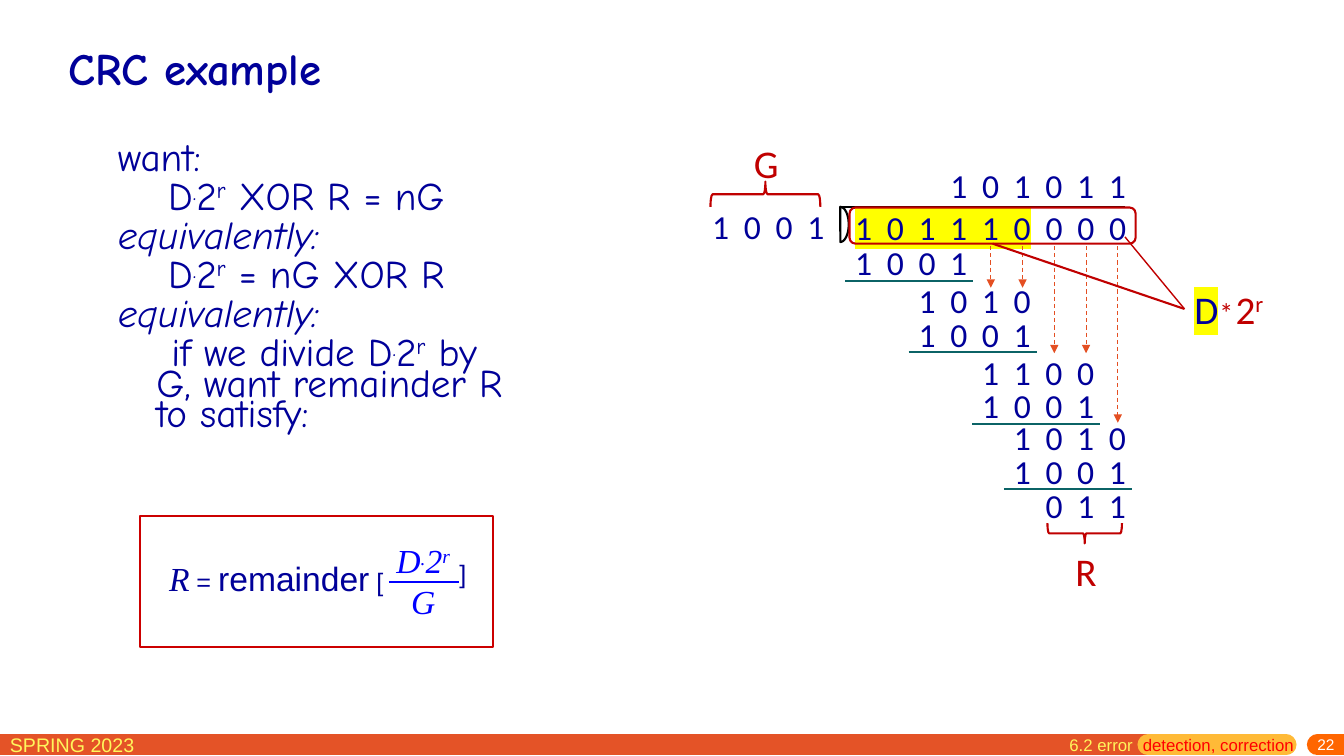
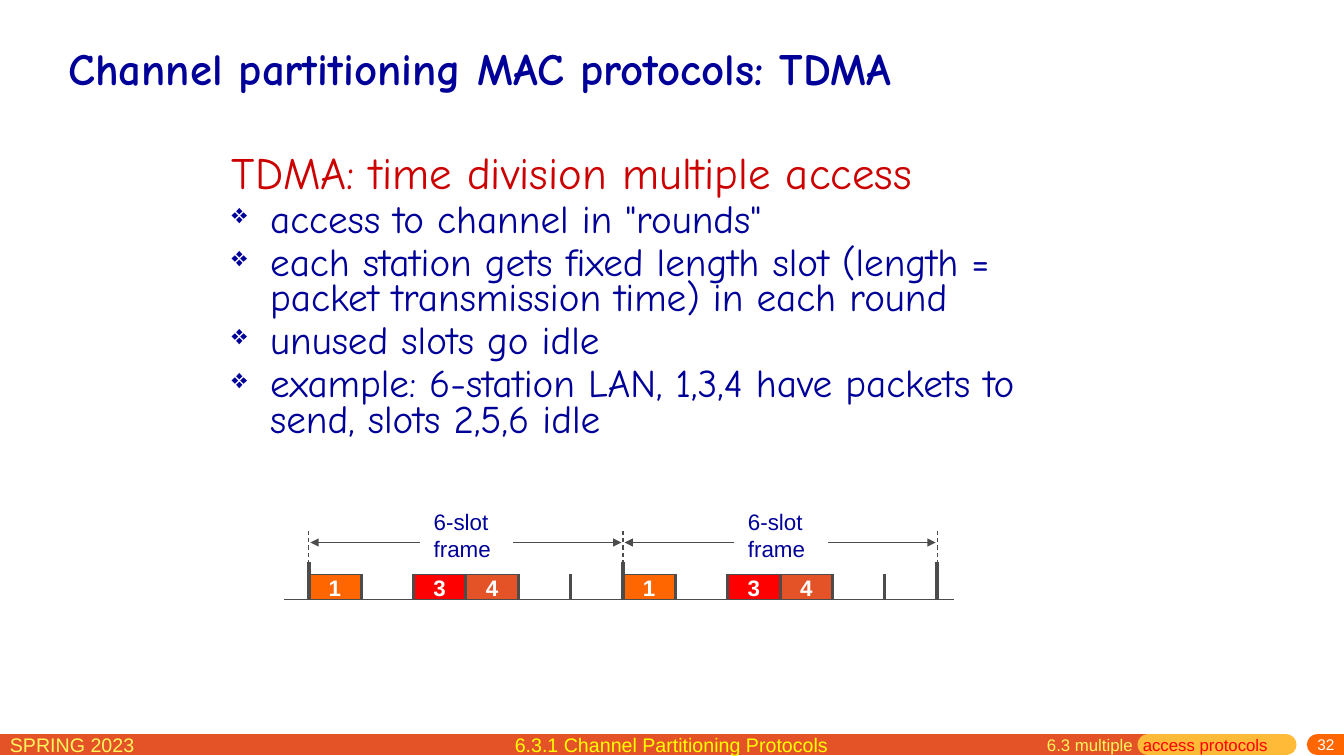
"""Build two networking lecture slides: a CRC division and a TDMA timeline."""
from lxml import etree
from pptx import Presentation
from pptx.dml.color import RGBColor
from pptx.enum.dml import MSO_LINE
from pptx.enum.shapes import MSO_CONNECTOR, MSO_SHAPE
from pptx.enum.text import MSO_ANCHOR, PP_ALIGN
from pptx.oxml.ns import qn
from pptx.util import Cm, Pt

STRAIGHT = MSO_CONNECTOR.STRAIGHT
RECTANGLE, ROUNDED = MSO_SHAPE.RECTANGLE, MSO_SHAPE.ROUNDED_RECTANGLE
BRACE, PIE = MSO_SHAPE.RIGHT_BRACE, MSO_SHAPE.PIE
DASH = MSO_LINE.DASH
LEFT, CENTER, RIGHT = PP_ALIGN.LEFT, PP_ALIGN.CENTER, PP_ALIGN.RIGHT
TOP, MIDDLE = MSO_ANCHOR.TOP, MSO_ANCHOR.MIDDLE


class Theme:
    """Colours, fonts and type sizes of the deck."""
    navy, blue, white, black = "000099", "0000FF", "FFFFFF", "000000"
    red, scarlet, crimson = "CC0000", "FF0000", "C00000"
    band, amber, orange, arrow = "E45327", "FFBA37", "FF6600", "E44F22"
    pale, yellow, teal, gray = "FFF65C", "FFFF00", "0B6366", "4C4C4C"
    hand, sans, digits, serif = "Comic Neue", "Arial", "Calibri", "Times New Roman"
    title, body, formula, symbol, label = 32, 28, 24, 28, 16
    footer, section, number = 14, 12, 11


SEASON = "SPRING 2023"
BANDS = [(-0.46, 28.93, Theme.band), (28.93, 32.41, Theme.amber),
         (33.2, 34.54, Theme.orange)]

UP = {"raised": 30}
DOT = (".", {"raised": 26})
POWER = ["D", DOT, "2", ("r", UP)]
SLANTED = [("equivalently:", {"italic": True})]
CRC_STEPS = [
    (["want:"], 0, 0),
    (POWER + [" XOR R = nG"], 1.27, 0),
    (SLANTED, 0, 0),
    (POWER + [" = nG XOR R"], 1.27, 0),
    (SLANTED, 0, 0),
    (["if we divide D", DOT, "2", ("r", UP), " by G, want remainder R to satisfy:"],
     0.97, 0.38),
]
REMAINDER = [("R", {"italic": True, "font": Theme.serif, "size": 24}),
             " = ", ("remainder", {"size": 24}), " ["]

DIVISION_LEFT, COLUMN, DIGIT_CENTER = 21.3, 0.8, 0.47
DIGIT_GAP = {"spread": 2.55}
DIVIDEND = [("1 0 1 1 1 0", {"highlight": Theme.yellow, **DIGIT_GAP}),
            (" 0 0 0", DIGIT_GAP)]
DIVISION_ROWS = [
    (3, 4.02, "1 0 1 0 1 1", False),
    (-4.5, 5.06, "1 0 0 1", False),
    (0, 5.97, "1 0 0 1", True),
    (2, 6.93, "1 0 1 0", False),
    (2, 7.78, "1 0 0 1", True),
    (4, 8.74, "1 1 0 0", False),
    (4, 9.58, "1 0 0 1", True),
    (5, 10.39, "1 0 1 0", False),
    (5, 11.23, "1 0 0 1", True),
    (6, 12.09, "0 1 1", False),
]
BROUGHT_DOWN = [(4, 7.25), (5, 7.25), (6, 8.9), (7, 8.9), (8, 10.65)]

TDMA_HEADING = "TDMA: time division multiple access"
TDMA_POINTS = [
    'access to channel in "rounds"',
    "each station gets fixed length slot (length = packet transmission time) "
    "in each round",
    "unused slots go idle",
    "example: 6-station LAN, 1,3,4 have packets to send, slots 2,5,6 idle",
]
BUSY_SLOTS = [(1, Theme.orange), (3, Theme.scarlet), (4, Theme.band)]
FRAME_LABEL = [["6-slot"], ["frame"]]
SLOTS, FRAMES = 6, 2
TIME_START, SLOT, BASELINE = 7.78, 1.32, 15.11


def color(code):
    return RGBColor.from_string(code)


def format_span(span, size, ink, font, bold=False, italic=None,
                raised=0, highlight=None, spread=0):
    face = span.font
    face.size, face.name, face.bold, face.italic = Pt(size), font, bold, italic
    face.color.rgb = color(ink)
    properties = span._r.get_or_add_rPr()
    if raised:
        properties.set("baseline", str(raised * 1000))
    if spread:
        properties.set("spc", str(round(spread * 100)))
    if highlight:
        mark = etree.Element(qn("a:highlight"))
        etree.SubElement(mark, qn("a:srgbClr")).set("val", highlight)
        properties.find(qn("a:latin")).addprevious(mark)


def write(frame, paragraphs, align=LEFT, **style):
    """Fill a text frame with paragraphs made of plain or styled spans."""
    frame.word_wrap = True
    for index, pieces in enumerate(paragraphs):
        para = frame.add_paragraph() if index else frame.paragraphs[0]
        para.alignment = align
        for piece in pieces:
            text, changes = (piece, {}) if isinstance(piece, str) else piece
            span = para.add_run()
            span.text = text
            format_span(span, **{**style, **changes})


def add_text(page, place, paragraphs, size, ink, font=Theme.sans,
             anchor=TOP, **style):
    box = page.shapes.add_textbox(*map(Cm, place))
    box.text_frame.vertical_anchor = anchor
    write(box.text_frame, paragraphs, size=size, ink=ink, font=font, **style)
    return box


def set_spacing(para, line, before, left, first):
    para.line_spacing, para.space_before = line, Pt(before)
    properties = para._p.get_or_add_pPr()
    properties.set("marL", str(Cm(left)))
    properties.set("indent", str(Cm(first)))
    return properties


def add_bullet(properties):
    etree.SubElement(properties, qn("a:buSzPct")).set("val", "70000")
    etree.SubElement(properties, qn("a:buChar")).set("char", "❖")


def add_line(page, start, end, ink, width, dashed=False, arrow=False, rounded=False):
    line = page.shapes.add_connector(STRAIGHT, *map(Cm, start + end))
    line.line.color.rgb, line.line.width = color(ink), Pt(width)
    if dashed:
        line.line.dash_style = DASH
    outline = line.line._get_or_add_ln()
    if rounded:
        outline.set("cap", "rnd")
    if arrow:
        etree.SubElement(outline, qn("a:tailEnd")).set("type", "triangle")
    etree.SubElement(line._element.spPr, qn("a:effectLst"))
    return line


def add_outline(page, kind, place, ink, width=1.5, fill=None, rotation=0):
    shape = page.shapes.add_shape(kind, *map(Cm, place))
    shape.shadow.inherit = False
    shape.rotation = rotation
    shape.line.color.rgb, shape.line.width = color(ink), Pt(width)
    if fill:
        shape.fill.solid()
        shape.fill.fore_color.rgb = color(fill)
    else:
        shape.fill.background()
    return shape


def start_page(deck, title, section, topic, number):
    """Add a page with the shared title and footer."""
    page = deck.slides.add_slide(deck.slide_layouts[6])
    for left, right, ink in BANDS:
        add_line(page, (left, 18.77), (right, 18.77), ink, 15, rounded=True)
    add_text(page, (0, 18.34, 5.8, 0.79), [[SEASON]], Theme.footer, Theme.pale)
    add_text(page, (24.8, 18.39, 4, 0.79), [[section]], Theme.section,
             Theme.pale, align=RIGHT)
    add_text(page, (28.55, 18.39, 4.6, 0.79), [[topic]], Theme.section, Theme.scarlet)
    box = add_text(page, (27.3, 18.59, 6.58, 0.46), [[number]], Theme.number,
                   Theme.white, align=RIGHT, anchor=MIDDLE)
    box.text_frame.margin_top = 0
    add_text(page, (1.47, 0.71, 30.94, 2.01), [[title]], Theme.title, Theme.navy,
             Theme.hand, anchor=MIDDLE, bold=True)
    return page


def draw_formula(page):
    add_text(page, (4.01, 13.94, 6.5, 1.27), [REMAINDER], 18, Theme.navy)
    add_text(page, (11.33, 13.94, 1, 1.27), [["]"]], 18, Theme.navy)
    add_text(page, (8.81, 13.49, 3.71, 2.31), [POWER, ["G"]], Theme.formula,
             Theme.blue, Theme.serif, align=CENTER, italic=True)
    add_line(page, (9.8, 14.66), (11.56, 14.66), Theme.blue, 1.5)
    add_outline(page, RECTANGLE, (3.53, 13, 8.89, 3.3), Theme.red)


def draw_division(page):
    digits = {"size": Theme.formula, "ink": Theme.navy, "font": Theme.digits}
    symbol = {"size": Theme.symbol, "ink": Theme.crimson, "font": Theme.digits}
    add_text(page, (DIVISION_LEFT, 5.08, 8.5, 1.27), [DIVIDEND], **digits)
    for column, top, text, ruled in DIVISION_ROWS:
        left = DIVISION_LEFT + column * COLUMN
        add_text(page, (left, top, 6, 1.27), [[(text, DIGIT_GAP)]], **digits)
        if ruled:
            add_line(page, (left, top + 1.1), (left + 3.23, top + 1.1), Theme.teal, 1.5)
    for column, bottom in BROUGHT_DOWN:
        center = DIVISION_LEFT + DIGIT_CENTER + column * COLUMN
        add_line(page, (center, 6.2), (center, bottom), Theme.arrow, 0.75,
                 dashed=True, arrow=True)

    add_line(page, (21.21, 5.21), (28.35, 5.21), Theme.black, 1.5)
    bracket = add_outline(page, PIE, (20.73, 5.44, 0.89, 0.43), Theme.black, rotation=270)
    bracket.adjustments[0], bracket.adjustments[1] = 0, 107.5
    add_outline(page, BRACE, (18.97, 3.51, 0.64, 2.77), Theme.crimson, rotation=270)
    add_outline(page, BRACE, (27.08, 12.5, 0.51, 1.88), Theme.crimson, rotation=90)
    add_text(page, (18.75, 3.38, 1.3, 1.45), [["G"]], **symbol)
    add_text(page, (26.85, 13.67, 1.3, 1.45), [["R"]], **symbol)

    frame = add_outline(page, ROUNDED, (21.41, 5.23, 7.21, 0.91), Theme.crimson)
    data = add_text(page, (29.85, 7.06, 1.2, 1.45),
                    [[("D", {"ink": Theme.navy, "highlight": Theme.yellow})]], **symbol)
    add_text(page, (30.48, 7.32, 0.9, 1.12), [[("*", {"size": 20})]], **symbol)
    add_text(page, (30.89, 7.06, 1.6, 1.45), [["2", ("r", UP)]], **symbol)
    data_link = add_line(page, (25.02, 6.14), (29.85, 7.78), Theme.crimson, 1.5)
    data_link.begin_connect(frame, 2)
    zeros_link = add_line(page, (28.35, 5.97), (29.85, 7.78), Theme.crimson, 1)
    for link in (data_link, zeros_link):
        link.end_connect(data, 1)


def draw_timeline(page):
    add_line(page, (7.16, BASELINE), (24.05, BASELINE), Theme.gray, 0.75)
    for frame in range(FRAMES):
        start = TIME_START + frame * SLOTS * SLOT
        for station, fill in BUSY_SLOTS:
            place = (start + (station - 1) * SLOT, BASELINE - 0.63, SLOT, 0.63)
            slot = add_outline(page, RECTANGLE, place, Theme.gray, 0.75, fill)
            text = slot.text_frame
            text.margin_top = text.margin_bottom = 0
            text.vertical_anchor = MIDDLE
            write(text, [[str(station)]], CENTER, size=Theme.label,
                  ink=Theme.white, font=Theme.sans, bold=True)
        add_text(page, (start + 2.9, 12.69, 2.4, 1.63), FRAME_LABEL,
                 Theme.label, Theme.navy)
        for tail, head in ((2.8, 0.04), (5.16, SLOTS * SLOT - 0.04)):
            add_line(page, (start + tail, 13.67), (start + head, 13.67),
                     Theme.gray, 0.75, arrow=True)
    for tick in range(FRAMES * SLOTS + 1):
        x = TIME_START + tick * SLOT
        edge = tick % SLOTS == 0
        add_line(page, (x, BASELINE - (0.94 if edge else 0.65)), (x, BASELINE),
                 Theme.gray, 3 if edge else 2.25)
        if edge:
            add_line(page, (x, 13.38), (x, 14.2), Theme.gray, 0.75, dashed=True)


def build_crc(deck):
    page = start_page(deck, "CRC example", "6.2 error", "detection, correction", "22")
    body = add_text(page, (2.72, 3.58, 10.31, 9.02), [step[0] for step in CRC_STEPS],
                    Theme.body, Theme.navy, Theme.hand)
    for para, (_, left, first) in zip(body.text_frame.paragraphs, CRC_STEPS):
        set_spacing(para, 0.65, 6, left, first)
    draw_formula(page)
    draw_division(page)


def build_tdma(deck):
    page = start_page(deck, "Channel partitioning MAC protocols: TDMA",
                      "6.3 multiple", "access protocols", "32")
    add_text(page, (11.02, 18.34, 11.81, 0.86), [["6.3.1 Channel Partitioning Protocols"]],
             Theme.footer, Theme.yellow, align=CENTER)
    heading = (TDMA_HEADING, {"size": Theme.title, "ink": Theme.red})
    body = add_text(page, (5.59, 3.84, 21.59, 8.13),
                    [[heading]] + [[point] for point in TDMA_POINTS],
                    Theme.body, Theme.navy, Theme.hand)
    for index, para in enumerate(body.text_frame.paragraphs):
        properties = set_spacing(para, 0.75, 5.5, 0.97, -0.97)
        if index:
            add_bullet(properties)
    draw_timeline(page)


def main():
    deck = Presentation()
    deck.slide_width, deck.slide_height = Cm(33.87), Cm(19.05)
    build_crc(deck)
    build_tdma(deck)
    deck.save("out.pptx")


if __name__ == "__main__":
    main()
